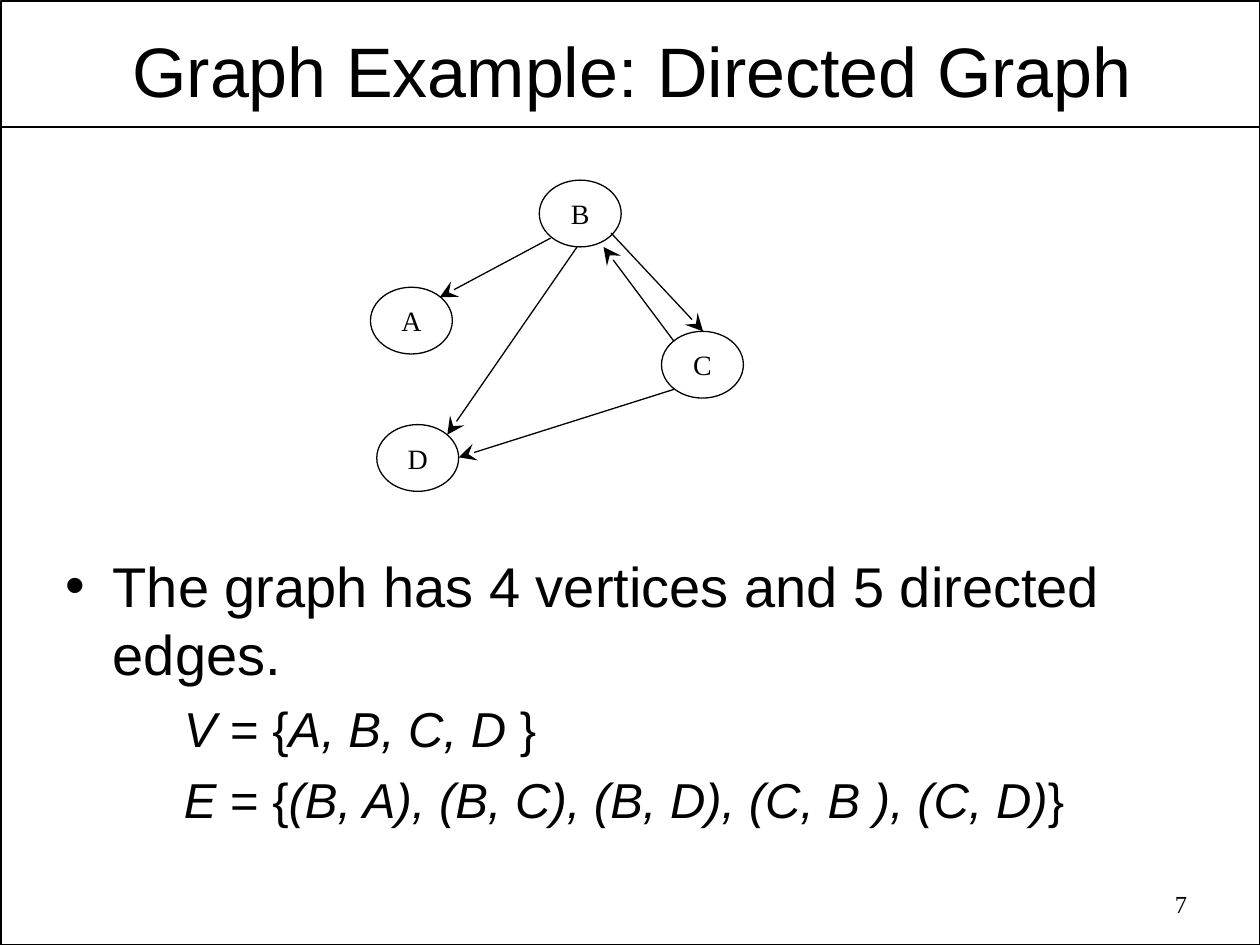
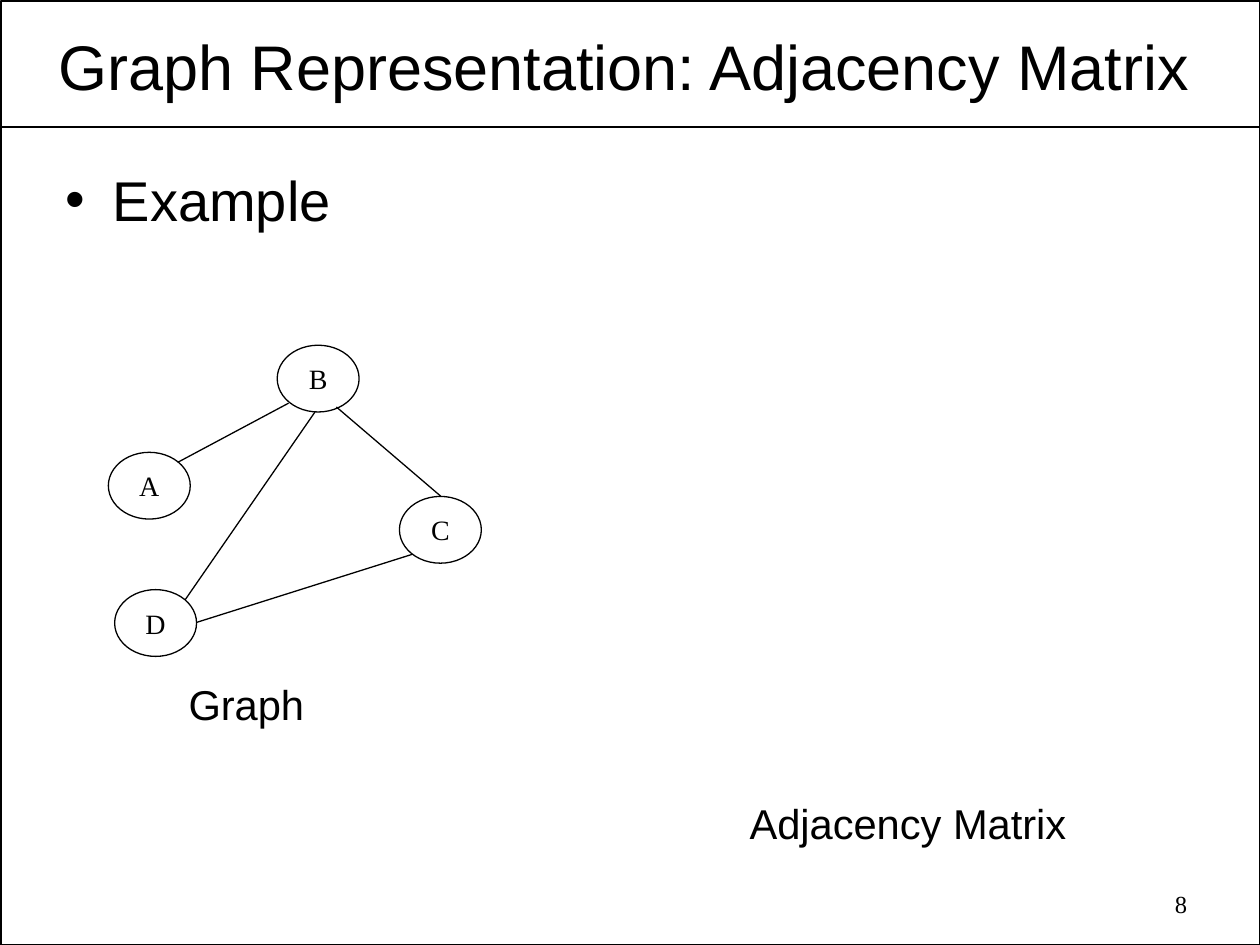
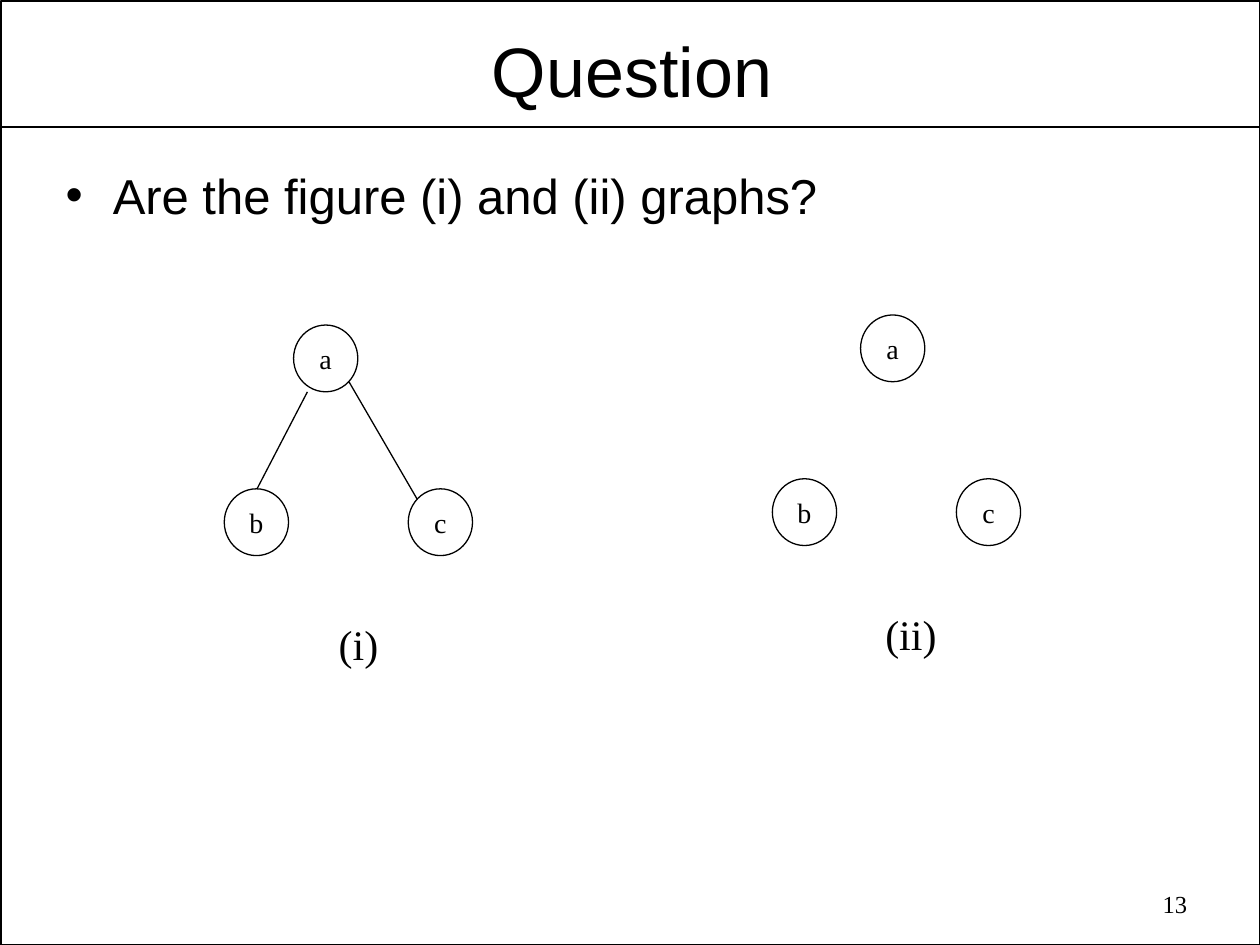
from lxml import etree
from pptx import Presentation
from pptx.dml.color import RGBColor
from pptx.enum.shapes import MSO_CONNECTOR as Conn, MSO_SHAPE as Shape
from pptx.enum.text import MSO_ANCHOR as Anchor, MSO_AUTO_SIZE as Fit, PP_ALIGN as Align
from pptx.oxml.ns import qn
from pptx.util import Inches, Pt

BLACK = RGBColor(0, 0, 0)
SANS, SERIF = "Arial", "Times New Roman"

TITLE_BOX = (0.53, 0.19, 8.97, 0.72)
TITLE_FRAME = {"margin_left": Inches(0.07), "margin_right": Inches(0.07),
               "margin_top": Inches(0.03), "margin_bottom": Inches(0.03),
               "vertical_anchor": Anchor.MIDDLE, "auto_size": Fit.NONE, "word_wrap": True}
BODY_FRAME = {"vertical_anchor": Anchor.TOP, "auto_size": Fit.NONE, "word_wrap": True}
LABEL_FRAME = {"margin_left": 0, "margin_right": 0, "margin_top": 0, "margin_bottom": 0,
               "vertical_anchor": Anchor.MIDDLE, "word_wrap": False}
CAPTION = {"alignment": Align.CENTER, "line_spacing": 0.9, "space_before": Pt(7)}
ARROW = {"type": "stealth", "w": "lg", "len": "lg"}

# Places of vertices and edges count from the top left corner of each graph.
VERTEX = (0.65, 0.53)
VERTICES = {"A": (0, 0.85), "B": (1.34, 0), "C": (2.31, 1.2), "D": (0.05, 1.94)}
EDGES = [(1.43, 0.46, 0.55, 0.93), (1.64, 0.53, 0.61, 2.02), (2.41, 1.66, 0.7, 2.2)]
TWO_WAY = [(2.41, 1.28, 1.85, 0.53), (1.91, 0.42, 2.64, 1.2)]
PLAIN = [(2.64, 1.2, 1.81, 0.49)]
SMALL = (0.51, 0.53)
TREE = [(0.66, 0.53, 0.26, 1.3), (0.99, 0.45, 1.53, 1.38)]


def assign(item, values):
    for name, value in values.items():
        setattr(item, name, value)


def place(shape, box):
    assign(shape, dict(zip(("left", "top", "width", "height"), map(Inches, box))))


def write(par, text, size, face=SANS, italic=None):
    run = par.add_run()
    run.text = text
    assign(run.font, {"size": Pt(size), "name": face, "italic": italic})
    run.font.color.rgb = BLACK


def outline(slide, kind, box, weight):
    shape = slide.shapes.add_shape(kind, *map(Inches, box))
    shape.shadow.inherit = False
    shape.fill.background()
    shape.line.color.rgb = BLACK
    shape.line.width = Pt(weight)
    return shape


def join(slide, ends, weight=0.75, arrow=False):
    line = slide.shapes.add_connector(Conn.STRAIGHT, *map(Inches, ends))
    line.line.color.rgb = BLACK
    line.line.width = Pt(weight)
    props = line.element.spPr
    if arrow:
        etree.SubElement(props.find(qn("a:ln")), qn("a:tailEnd"), ARROW)
    etree.SubElement(props, qn("a:effectLst"))
    return line


def note(slide, text, box, size, face, **style):
    shape = slide.shapes.add_textbox(*map(Inches, box))
    shape.text_frame.word_wrap = True
    par = shape.text_frame.paragraphs[0]
    assign(par, style)
    write(par, text, size, face)


def frame(deck, slide):
    """Draw the page border and title rule, then move them to the master."""
    parts = [outline(slide, Shape.RECTANGLE, (0.01, 0.01, 9.99, 7.49), 1),
             join(slide, (0.01, 1.01, 9.99, 1.01), 1)]
    for num, part in enumerate(parts, 101):
        part.element.xpath("./*/p:cNvPr")[0].set("id", str(num))
        deck.slide_master.shapes.element.append(part.element)


def page(deck, title, number, size=40, box=TITLE_BOX):
    slide = deck.slides.add_slide(deck.slide_layouts[1])
    head = slide.shapes.title
    place(head, box)
    assign(head.text_frame, TITLE_FRAME)
    par = head.text_frame.paragraphs[0]
    par.alignment = Align.CENTER
    write(par, title, size)
    note(slide, str(number), (7.18, 7.01, 2.34, 0.36), 14, SERIF, alignment=Align.RIGHT)
    return slide


def bullet(slide, text, box, size=32, before=8):
    """Fill the body with one bullet and return its text frame."""
    body = slide.placeholders[1]
    place(body, box)
    assign(body.text_frame, BODY_FRAME)
    par = body.text_frame.paragraphs[0]
    par.space_before = Pt(before)
    write(par, text, size)
    return body.text_frame


def formula(body, name, items):
    par = body.add_paragraph()
    assign(par, {"level": 1, "space_before": Pt(7)})
    props = par._p.get_or_add_pPr()
    props.set("marL", str(Inches(0.94)))
    props.set("indent", "0")
    etree.SubElement(props, qn("a:buNone"))
    for text, italic in ((name + " ", True), ("= {", False), (items, True), ("}", False)):
        write(par, text, 28, italic=italic)


def graph(slide, origin, nodes, size, edges=(), arrow=False):
    left, top = origin
    for name, (x, y) in nodes.items():
        node = outline(slide, Shape.OVAL, (left + x, top + y, *size), 0.75)
        assign(node.text_frame, LABEL_FRAME)
        par = node.text_frame.paragraphs[0]
        par.alignment = Align.CENTER
        write(par, name, 16, SERIF)
    for x1, y1, x2, y2 in edges:
        join(slide, (left + x1, top + y1, left + x2, top + y2), arrow=arrow)


def trio(slide, origin, peak, text, box, edges=()):
    """Draw vertices a, b and c with a caption; peak is how far right a sits."""
    nodes = {"a": (peak, 0), "b": (0, 1.3), "c": (1.46, 1.3)}
    graph(slide, origin, nodes, SMALL, edges)
    note(slide, text, box, 24, SERIF, alignment=Align.CENTER)


def main():
    deck = Presentation()
    deck.slide_width, deck.slide_height = Inches(10), Inches(7.5)

    slide = page(deck, "Graph Example: Directed Graph", 7)
    frame(deck, slide)
    body = bullet(slide, "The graph has 4 vertices and 5 directed edges.", (0.42, 4.33, 9.17, 2.42))
    formula(body, "V", "A, B, C, D ")
    formula(body, "E", "(B, A), (B, C), (B, D), (C, B ), (C, D)")
    graph(slide, (2.94, 1.43), VERTICES, VERTEX, EDGES + TWO_WAY, arrow=True)

    slide = page(deck, "Graph Representation: Adjacency Matrix", 8, 36, (0.04, 0.19, 9.82, 0.66))
    bullet(slide, "Example", (0.42, 1.26, 3.24, 0.74))
    graph(slide, (0.86, 2.74), VERTICES, VERTEX, EDGES + PLAIN)
    note(slide, "Graph", (0.5, 5.38, 2.91, 0.53), 23.8, SANS, **CAPTION)
    note(slide, "Adjacency Matrix", (5.16, 6.33, 4.09, 0.53), 23.8, SANS, **CAPTION)

    slide = page(deck, "Question", 13)
    bullet(slide, "Are the figure (i) and (ii) graphs?", (0.42, 1.26, 9.17, 0.74), 28, 7)
    trio(slide, (1.78, 2.58), 0.55, "(i)", (2.49, 4.86, 0.71, 0.5), TREE)
    trio(slide, (6.13, 2.5), 0.7, "(ii)", (6.83, 4.78, 0.8, 0.5))

    deck.save("out.pptx")


if __name__ == "__main__":
    main()
